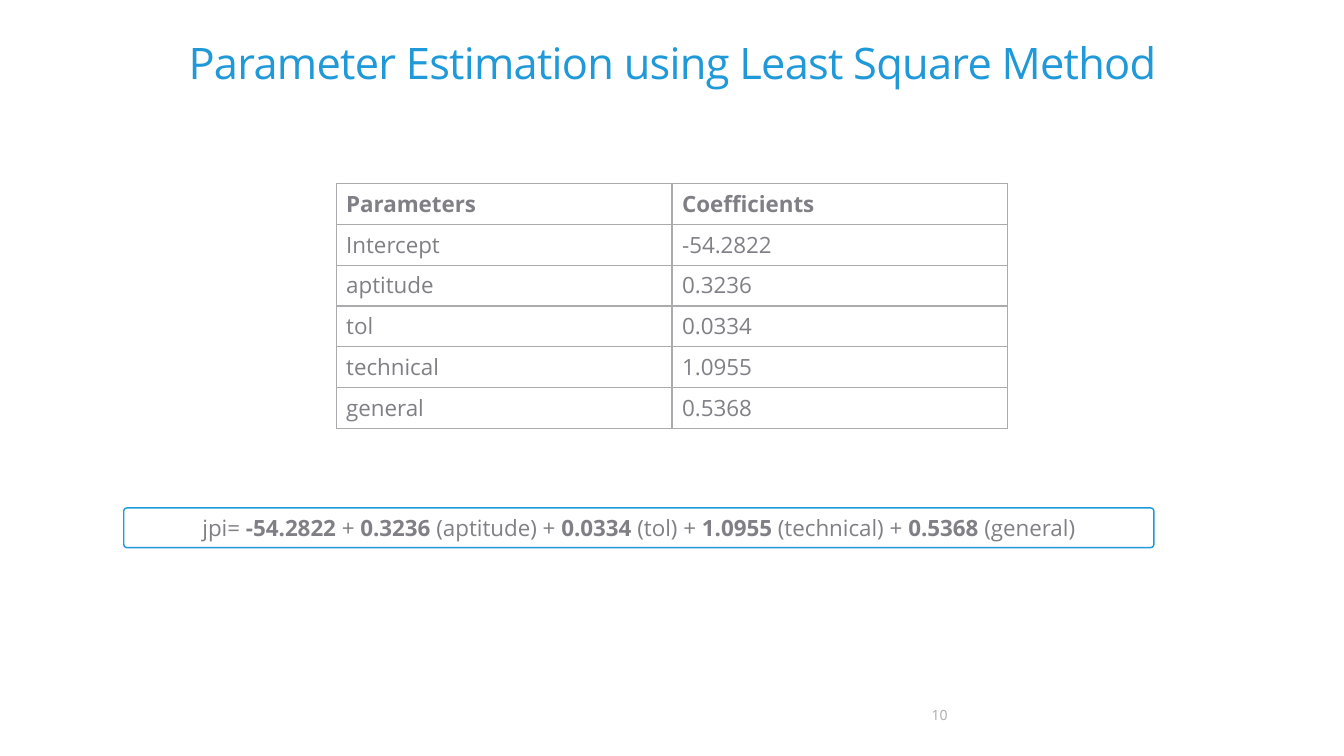
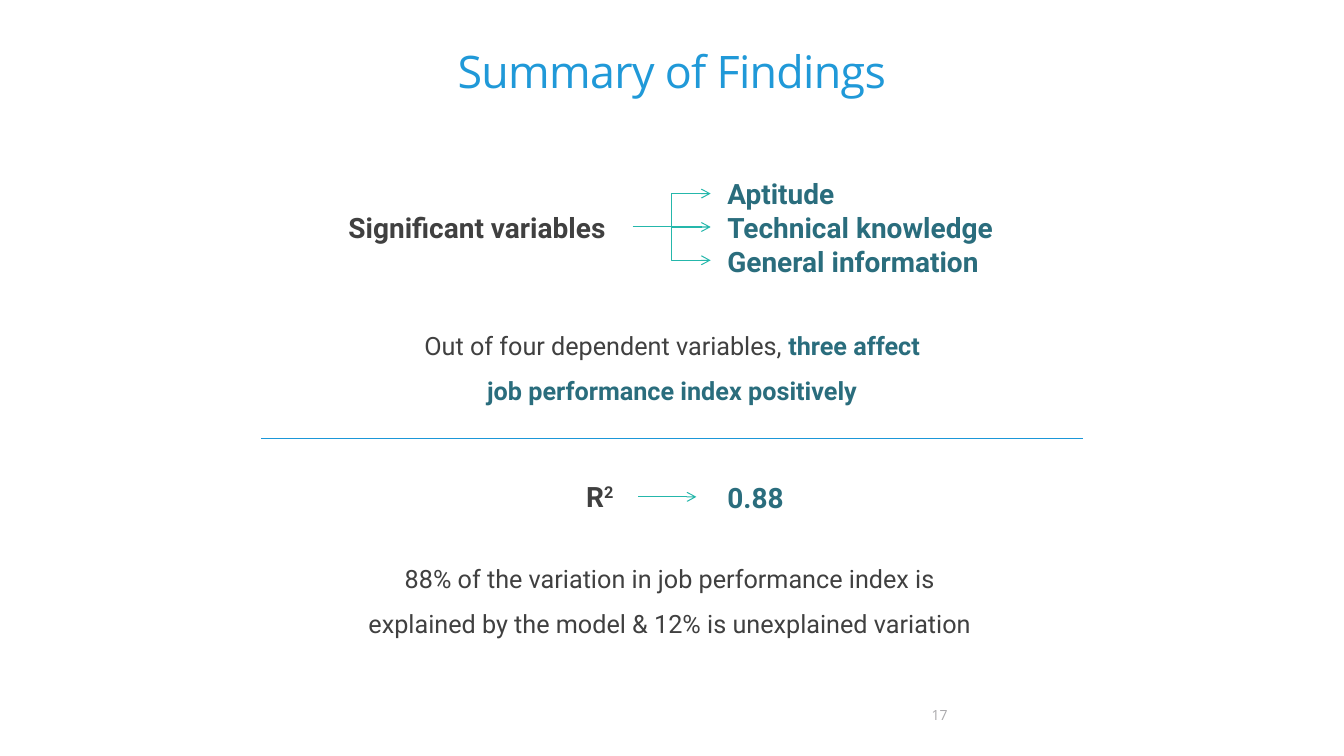
from dataclasses import dataclass
from typing import Optional

from lxml.etree import SubElement
from pptx import Presentation
from pptx.dml.color import RGBColor
from pptx.enum.shapes import MSO_CONNECTOR as Connector, MSO_SHAPE as Preset
from pptx.enum.text import MSO_ANCHOR as Anchor, PP_ALIGN as Align
from pptx.oxml.ns import qn
from pptx.util import Cm, Pt

COLORS = {
    "white": "FFFFFF",
    "blue": "2099D8",
    "rule": "1B97D8",
    "gray": "807F85",
    "light": "ABAAAD",
    "dark": "404040",
    "petrol": "2A6D7D",
    "teal": "25B7AB",
}
HEADING_FONT = "Open Sans"
BODY_FONT = "Roboto"


@dataclass(frozen=True)
class Box:
    left: float
    top: float
    width: float
    height: float

    def lengths(self) -> tuple:
        return Cm(self.left), Cm(self.top), Cm(self.width), Cm(self.height)


@dataclass(frozen=True)
class Style:
    size: float
    color: str
    font: str = BODY_FONT
    bold: bool = False
    tracking: int = 0
    baseline: int = 0


@dataclass(frozen=True)
class Span:
    text: str
    style: Style


@dataclass(frozen=True)
class TextBlock:
    box: Box
    paragraphs: list
    align: Align = Align.CENTER
    anchor: Anchor = Anchor.MIDDLE
    spacing: Optional[float] = None
    margin: Optional[float] = None


@dataclass(frozen=True)
class Line:
    x1: float
    y1: float
    x2: float
    y2: float
    color: str = "teal"
    arrow: bool = True


PAGE_NUMBER = Style(10, "light", HEADING_FONT)
PLAIN = Style(16, "gray", HEADING_FONT)
STRONG = Style(16, "gray", HEADING_FONT, bold=True)
LABEL = Style(20, "dark", bold=True)
SUPERSCRIPT = Style(20, "dark", bold=True, baseline=30000)
RESULT = Style(20, "petrol", bold=True)
BODY = Style(18, "dark")
BODY_ACCENT = Style(18, "petrol", bold=True)

COEFFICIENTS = [
    ("Parameters", "Coefficients"),
    ("Intercept", "-54.2822"),
    ("aptitude", "0.3236"),
    ("tol", "0.0334"),
    ("technical", "1.0955"),
    ("general", "0.5368"),
]
VARIABLES = ["Aptitude", "Technical knowledge", "General information"]


def rgb(name: str) -> RGBColor:
    return RGBColor.from_string(COLORS[name])


def add_span(paragraph, span: Span) -> None:
    run = paragraph.add_run()
    run.text = span.text
    style = span.style
    run.font.name = style.font
    run.font.size = Pt(style.size)
    run.font.bold = style.bold
    run.font.color.rgb = rgb(style.color)
    properties = run.font._element
    for name, value in (("spc", style.tracking), ("baseline", style.baseline)):
        if value:
            properties.set(name, str(value))


def write_text(frame, block: TextBlock) -> None:
    frame.word_wrap = True
    frame.vertical_anchor = block.anchor
    if block.margin is not None:
        frame.margin_left = frame.margin_right = Cm(block.margin)
        frame.margin_top = frame.margin_bottom = Cm(block.margin)
    for index, spans in enumerate(block.paragraphs):
        paragraph = frame.add_paragraph() if index else frame.paragraphs[0]
        paragraph.alignment = block.align
        if block.spacing:
            paragraph.line_spacing = block.spacing
        for span in spans:
            add_span(paragraph, span)


def add_text(slide, block: TextBlock) -> None:
    write_text(slide.shapes.add_textbox(*block.box.lengths()).text_frame, block)


def add_line(slide, line: Line) -> None:
    bent = line.x1 != line.x2 and line.y1 != line.y2
    kind = Connector.ELBOW if bent else Connector.STRAIGHT
    ends = (Cm(value) for value in (line.x1, line.y1, line.x2, line.y2))
    connector = slide.shapes.add_connector(kind, *ends)
    connector.line.color.rgb = rgb(line.color)
    connector.line.width = Pt(0.75)
    properties = connector._element.spPr
    if line.arrow:
        SubElement(properties.find(qn("a:ln")), qn("a:tailEnd"), type="arrow")
    SubElement(properties, qn("a:effectLst"))


def start_slide(presentation, title: str, box: Box, size: float, number: str):
    slide = presentation.slides.add_slide(presentation.slide_layouts[6])
    style = Style(size, "blue", HEADING_FONT, tracking=-50)
    add_text(slide, TextBlock(box, [[Span(title, style)]], spacing=0.86, margin=0))
    add_text(slide, TextBlock(Box(18.21, 17.35, 5.92, 1.32),
                              [[Span(number, PAGE_NUMBER)]], Align.RIGHT))
    return slide


def add_borders(cell) -> None:
    properties = cell._tc.get_or_add_tcPr()
    for index, side in enumerate(("lnL", "lnR", "lnT", "lnB")):
        border = properties.makeelement(qn(f"a:{side}"), {"w": str(Pt(1))})
        fill = SubElement(border, qn("a:solidFill"))
        SubElement(fill, qn("a:srgbClr"), val=COLORS["light"])
        properties.insert(index, border)


def add_coefficient_table(slide) -> None:
    box = Box(8.47, 4.62, 16.93, 6.18)
    table = slide.shapes.add_table(len(COEFFICIENTS), 2, *box.lengths()).table
    table.first_row = False
    table.horz_banding = False
    for row_index, values in enumerate(COEFFICIENTS):
        style = PLAIN if row_index else STRONG
        for column_index, value in enumerate(values):
            cell = table.cell(row_index, column_index)
            cell.fill.solid()
            cell.fill.fore_color.rgb = rgb("white")
            add_span(cell.text_frame.paragraphs[0], Span(value, style))
            add_borders(cell)


def add_formula(slide) -> None:
    box = Box(3.12, 12.8, 25.96, 1)
    shape = slide.shapes.add_shape(Preset.ROUNDED_RECTANGLE, *box.lengths())
    shape.adjustments[0] = 0.08
    shape.shadow.inherit = False
    shape.fill.solid()
    shape.fill.fore_color.rgb = rgb("white")
    shape.line.color.rgb = rgb("blue")
    shape.line.width = Pt(1)
    (_, intercept), *terms = COEFFICIENTS[1:]
    spans = [Span("jpi= ", PLAIN), Span(intercept, STRONG)]
    for name, value in terms:
        spans += [Span(" + ", PLAIN), Span(value, STRONG), Span(f" ({name})", PLAIN)]
    write_text(shape.text_frame, TextBlock(box, [spans]))


def build_estimation(presentation) -> None:
    slide = start_slide(presentation, "Parameter Estimation using Least Square Method",
                        Box(4.37, 0.53, 25.15, 2.26), 31, "10")
    add_coefficient_table(slide)
    add_formula(slide)


def build_summary(presentation) -> None:
    slide = start_slide(presentation, "Summary of Findings",
                        Box(5.5, 0.76, 22.86, 2.26), 32, "17")
    middle, step = 5.72, 0.84
    lines = [
        Line(15.95, middle, 17.91, middle - step),
        Line(15.95, middle, 17.91, middle + step),
        Line(16.93, middle, 17.91, middle),
        Line(16.08, 12.52, 17.55, 12.52),
        Line(6.58, 11.05, 27.28, 11.05, "rule", False),
    ]
    for line in lines:
        add_line(slide, line)
    blocks = [
        TextBlock(Box(8.38, 4.45, 7.29, 2.54), [[Span("Significant variables", LABEL)]]),
        TextBlock(Box(18.08, 4.32, 8.15, 2.82),
                  [[Span(name, RESULT)] for name in VARIABLES], Align.LEFT),
        TextBlock(Box(10.21, 7.82, 13.46, 2.44),
                  [[Span("Out of four dependent variables, ", BODY),
                    Span("three affect job performance index positively", BODY_ACCENT)]],
                  anchor=Anchor.TOP, spacing=1.5),
        TextBlock(Box(13.72, 11.23, 2.79, 2.54),
                  [[Span("R", LABEL), Span("2", SUPERSCRIPT)]]),
        TextBlock(Box(18.08, 11.96, 8.15, 1.12), [[Span("0.88", RESULT)]], Align.LEFT),
        TextBlock(Box(8.74, 13.69, 16.28, 2.41),
                  [[Span("88% of the variation in job performance index is explained "
                         "by the model & 12% is unexplained variation", BODY)]],
                  anchor=Anchor.TOP, spacing=1.5),
    ]
    for block in blocks:
        add_text(slide, block)


def main() -> None:
    presentation = Presentation()
    presentation.slide_width = Cm(33.87)
    presentation.slide_height = Cm(19.05)
    build_estimation(presentation)
    build_summary(presentation)
    presentation.save("out.pptx")


if __name__ == "__main__":
    main()
